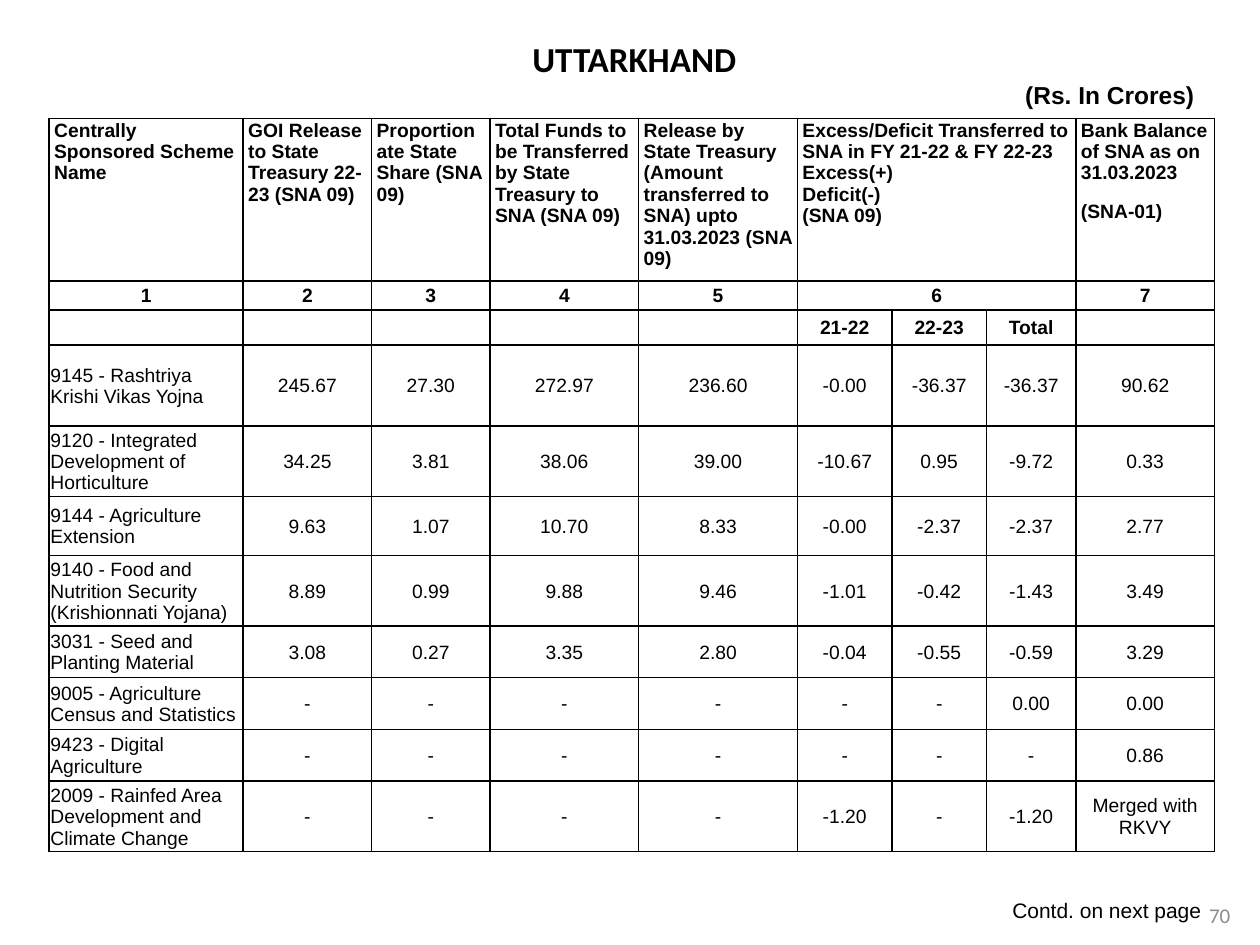
from lxml.etree import SubElement
from pptx import Presentation
from pptx.dml.color import RGBColor
from pptx.enum.text import MSO_ANCHOR as Anchor, MSO_AUTO_SIZE as AutoSize, PP_ALIGN as Align
from pptx.oxml.ns import qn
from pptx.util import Inches, Pt

BLACK = RGBColor(0x00, 0x00, 0x00)
GREY = RGBColor(0x8C, 0x8C, 0x8C)

COLUMN_WIDTHS = [1.54, 1.02, 0.94, 1.18, 1.26, 0.75, 0.75, 0.71, 1.1]
ROW_HEIGHTS = [1.29, 0.23, 0.28, 0.64, 0.56, 0.47, 0.56, 0.41, 0.41, 0.41, 0.56]
HEADING_ROWS = 3
NUMBER_ROW = 1
EXCESS_COLUMNS = (5, 7)

HEADINGS = [
    "Centrally Sponsored Scheme Name",
    "GOI Release to State Treasury 22-23 (SNA 09)",
    "Proportionate State Share (SNA 09)",
    "Total Funds to be Transferred by State Treasury to SNA (SNA 09)",
    "Release by State Treasury (Amount transferred to SNA) upto 31.03.2023 (SNA 09)",
    "Excess/Deficit Transferred to SNA in FY 21-22 & FY 22-23\nExcess(+)\nDeficit(-)\n(SNA 09)",
    "",
    "",
    "Bank Balance of SNA as on 31.03.2023\n(SNA-01)",
]
SCHEMES = [
    ["9145 - Rashtriya Krishi Vikas Yojna",
     "245.67", "27.30", "272.97", "236.60", "-0.00", "-36.37", "-36.37", "90.62"],
    ["9120 - Integrated Development of Horticulture",
     "34.25", "3.81", "38.06", "39.00", "-10.67", "0.95", "-9.72", "0.33"],
    ["9144 - Agriculture Extension",
     "9.63", "1.07", "10.70", "8.33", "-0.00", "-2.37", "-2.37", "2.77"],
    ["9140 - Food and Nutrition Security (Krishionnati Yojana)",
     "8.89", "0.99", "9.88", "9.46", "-1.01", "-0.42", "-1.43", "3.49"],
    ["3031 - Seed and Planting Material",
     "3.08", "0.27", "3.35", "2.80", "-0.04", "-0.55", "-0.59", "3.29"],
    ["9005 - Agriculture Census and Statistics", *"------", "0.00", "0.00"],
    ["9423 - Digital Agriculture", *"-------", "0.86"],
    ["2009 - Rainfed Area Development and Climate Change",
     *"----", "-1.20", "-", "-1.20", "Merged with RKVY"],
]
ROWS = [
    HEADINGS,
    ["1", "2", "3", "4", "5", "6", "", "", "7"],
    ["", "", "", "", "", "21-22", "22-23", "Total", ""],
    *SCHEMES,
]


class StatementPage:
    """Holds the text style and the slide on which the fund statement is drawn."""

    def __init__(self, page, face="Arial", size=11, color=BLACK):
        self.page = page
        self.face = face
        self.size = size
        self.color = color

    def style(self, para, align, size=None, bold=False, face=None, color=None):
        para.alignment = align
        for span in para.runs:
            span.font.name = face or self.face
            span.font.size = Pt(size or self.size)
            span.font.bold = bold
            span.font.color.rgb = color or self.color

    def title(self, heading, unit, left, top, width, height):
        box = self.page.shapes.title
        box.left, box.top, box.width, box.height = map(Inches, (left, top, width, height))
        frame = box.text_frame
        frame.text = f"{heading}\n{unit}"
        frame.auto_size = AutoSize.NONE
        frame.vertical_anchor = Anchor.TOP
        frame.margin_left = frame.margin_right = Inches(0.16)
        self.style(frame.paragraphs[0], Align.CENTER, 20, True, "Calibri")
        self.style(frame.paragraphs[1], Align.RIGHT, 14, True)

    def label(self, text, left, top, width, height, wrap=True, **style):
        box = self.page.shapes.add_textbox(*map(Inches, (left, top, width, height)))
        frame = box.text_frame
        frame.text = text
        frame.word_wrap = wrap
        frame.vertical_anchor = Anchor.MIDDLE
        self.style(frame.paragraphs[0], Align.CENTER, 12, **style)

    def borders(self, cell):
        properties = cell._tc.get_or_add_tcPr()
        for side in ("lnL", "lnR", "lnT", "lnB"):
            line = SubElement(properties, qn(f"a:{side}"), w=str(Pt(1)))
            fill = SubElement(line, qn("a:solidFill"))
            SubElement(fill, qn("a:srgbClr"), val=str(BLACK))

    def cell(self, cell, text, row, column):
        is_top = row <= NUMBER_ROW
        self.borders(cell)
        cell.fill.background()
        cell.text = text
        cell.margin_left = cell.margin_right = Inches(0.04 if is_top else 0.01)
        cell.margin_top, cell.margin_bottom = Inches(0.01), 0
        cell.vertical_anchor = Anchor.TOP if is_top else Anchor.MIDDLE
        is_left = row == 0 or (row >= HEADING_ROWS and column == 0)
        paras = cell.text_frame.paragraphs
        for para in paras:
            self.style(para, Align.LEFT if is_left else Align.CENTER, bold=row < HEADING_ROWS)
            if row == NUMBER_ROW:
                para.line_spacing = 1.15
            if not text:
                SubElement(para._p, qn("a:endParaRPr"), sz=str(self.size * 100))
        if row == 0 and column == len(COLUMN_WIDTHS) - 1:
            paras[0].space_after = Pt(10)

    def table(self, rows, left, top):
        size = sum(COLUMN_WIDTHS), sum(ROW_HEIGHTS)
        table = self.page.shapes.add_table(
            len(rows), len(COLUMN_WIDTHS), *map(Inches, (left, top, *size))).table
        table.first_row = table.horz_banding = False
        for column, width in zip(table.columns, COLUMN_WIDTHS):
            column.width = Inches(width)
        for row, height in zip(table.rows, ROW_HEIGHTS):
            row.height = Inches(height)
        for row, texts in enumerate(rows):
            for column, text in enumerate(texts):
                self.cell(table.cell(row, column), text, row, column)
        first, last = EXCESS_COLUMNS
        for row in range(NUMBER_ROW + 1):
            table.cell(row, first).merge(table.cell(row, last))


def main():
    deck = Presentation()
    deck.slide_width, deck.slide_height = Inches(10), Inches(7.5)
    statement = StatementPage(deck.slides.add_slide(deck.slide_layouts[5]))
    statement.title("UTTARKHAND", "(Rs. In Crores)", 0.43, 0.25, 9.21, 0.67)
    statement.table(ROWS, 0.39, 0.94)
    statement.label("70", 9.48, 7.06, 0.4, 0.4, face="Calibri", color=GREY)
    statement.label("Contd. on next page", 7.93, 7.07, 1.71, 0.3, wrap=False)
    deck.save("out.pptx")


if __name__ == "__main__":
    main()
